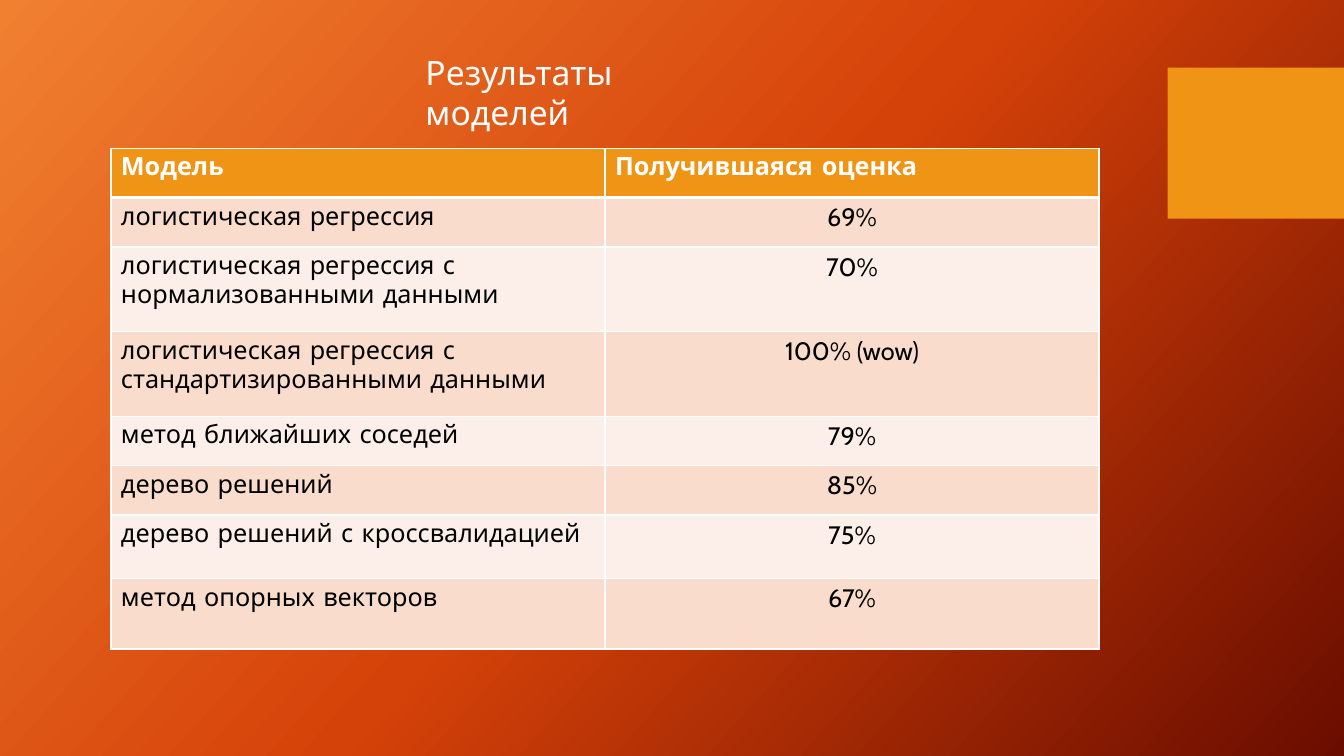
"""Builds a slide with a table of model scores."""
from copy import deepcopy

from lxml import etree
from pptx import Presentation
from pptx import util as u
from pptx.dml.color import RGBColor
from pptx.enum import shapes, text
from pptx.oxml.ns import qn

RESULTS = [
    ("логистическая регрессия", "69%", 0.49),
    ("логистическая регрессия с нормализованными данными", "70%", 0.84),
    ("логистическая регрессия с стандартизированными данными", "100% (wow)", 0.84),
    ("метод ближайших соседей", "79%", 0.49),
    ("дерево решений", "85%", 0.49),
    ("дерево решений с кроссвалидацией", "75%", 0.63),
    ("метод опорных векторов", "67%", 0.7),
]


def rgb(value):
    return RGBColor.from_string(value)


class ResultsSlide:
    heading_font, score_font = "Comic Neue", "Cabin"
    white, black, accent = "FFFFFF", "000000", "F09415"
    bands = ("F9DCCC", "FCEEE8")

    def __init__(self, deck):
        self.slide = deck.slides.add_slide(deck.slide_layouts[5])

    def background(self, colours, angle):
        fill = self.slide.background.fill
        fill.gradient()
        fill.gradient_angle = angle
        stop_list = next(self.slide.element.iter(qn("a:gsLst")))
        for _ in colours[len(stop_list):]:
            stop_list.append(deepcopy(stop_list[0]))
        for index, (stop, colour) in enumerate(zip(fill.gradient_stops, colours)):
            stop.color.rgb = rgb(colour)
            stop.position = index / (len(colours) - 1)

    def block(self, left, top, width, height):
        block = self.slide.shapes.add_shape(
            shapes.MSO_SHAPE.RECTANGLE, *map(u.Inches, (left, top, width, height)))
        block.shadow.inherit = False
        block.fill.solid()
        block.fill.fore_color.rgb = rgb(self.accent)
        block.line.fill.background()

    def set_text(self, paragraph, wording, size, font, colour, bold=False,
                 align=text.PP_ALIGN.LEFT):
        paragraph.text = wording
        paragraph.alignment = align
        paragraph.font.size = u.Pt(size)
        paragraph.font.name = font
        paragraph.font.bold = bold
        paragraph.font.color.rgb = rgb(colour)

    def title(self, wording, left, top, width, height):
        title = self.slide.shapes.title
        title.left, title.top, title.width, title.height = map(
            u.Inches, (left, top, width, height))
        frame = title.text_frame
        frame.word_wrap = True
        frame.auto_size = text.MSO_AUTO_SIZE.NONE
        frame.vertical_anchor = text.MSO_ANCHOR.TOP
        frame.margin_right = u.Inches(0.3)
        self.set_text(frame.paragraphs[0], wording, 24, self.heading_font, self.white)

    def borders(self, cell, top, bottom):
        properties = cell._tc.get_or_add_tcPr()
        for index, (side, points) in enumerate(
                (("lnL", 1), ("lnR", 1), ("lnT", top), ("lnB", bottom))):
            line = etree.Element(qn(f"a:{side}"), w=str(u.Pt(points)))
            fill = etree.SubElement(line, qn("a:solidFill"))
            etree.SubElement(fill, qn("a:srgbClr"), val=self.white)
            properties.insert(index, line)

    def cell(self, cell, wording, fill, top=1, bottom=1, **style):
        self.set_text(cell.text_frame.paragraphs[0], wording, 18, **style)
        cell.fill.solid()
        cell.fill.fore_color.rgb = rgb(fill)
        self.borders(cell, top, bottom)

    def table(self, headings, results, left, top, width, heading_height):
        heights = [heading_height] + [height for *_, height in results]
        table = self.slide.shapes.add_table(
            len(heights), len(headings),
            *map(u.Inches, (left, top, width, sum(heights)))).table
        for row, height in zip(table.rows, heights):
            row.height = u.Inches(height)
        for column, heading in enumerate(headings):
            self.cell(table.cell(0, column), heading, self.accent, bottom=3,
                      font=self.heading_font, colour=self.white, bold=True)
        for row, (model, score, _) in enumerate(results, 1):
            fill = self.bands[(row - 1) % 2]
            edge = 3 if row == 1 else 1
            self.cell(table.cell(row, 0), model, fill, top=edge,
                      font=self.heading_font, colour=self.black)
            self.cell(table.cell(row, 1), score, fill, top=edge, font=self.score_font,
                      colour=self.black, align=text.PP_ALIGN.CENTER)


def main():
    deck = Presentation()
    deck.slide_width, deck.slide_height = u.Inches(13.33), u.Inches(7.5)
    page = ResultsSlide(deck)
    page.background(("F18031", "D54209", "6A0D00"), 318)
    page.block(11.58, 0.67, 1.75, 1.5)
    page.title("Результаты моделей", 4.12, 0.46, 3.57, 0.5)
    page.table(("Модель", "Получившаяся оценка"), RESULTS, 1.1, 1.47, 9.8, 0.49)
    deck.save("out.pptx")


if __name__ == "__main__":
    main()
